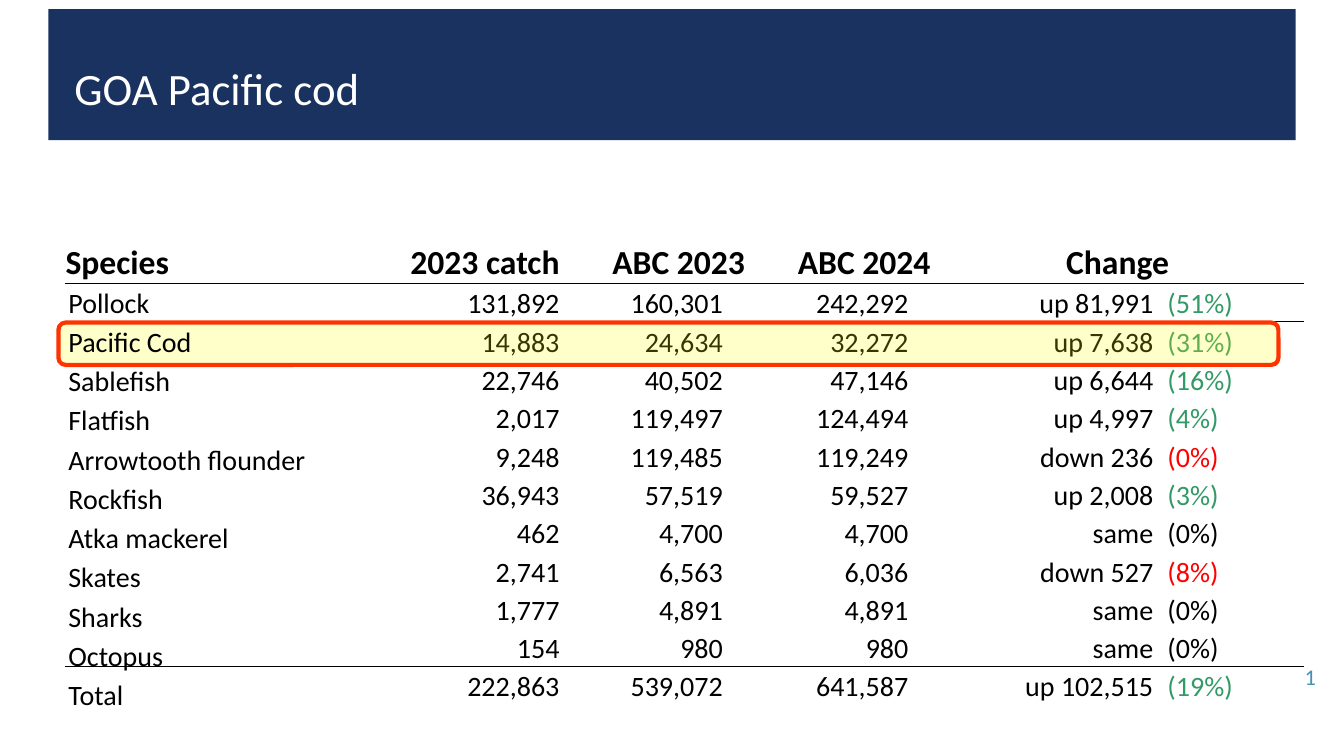
from lxml import etree
from pptx import Presentation
from pptx.dml.color import RGBColor
from pptx.enum.shapes import MSO_SHAPE
from pptx.enum.text import MSO_ANCHOR, PP_ALIGN
from pptx.oxml import parse_xml
from pptx.oxml.ns import nsdecls, qn
from pptx.util import Inches, Pt

COLORS = {
    "navy": "1A3260", "white": "FFFFFF", "black": "000000", "blue": "4590B8",
    "up": "339966", "down": "FF0000", "highlight": "FFFF00", "outline": "FF3300",
}
FONT = "Calibri"
NO_STYLE = "{2D5ABB26-0587-4C30-8999-92F81FD0307C}"

HEADERS = ["Species", "2023 catch", "ABC 2023", "ABC 2024", "Change", ""]
CATCHES = [
    ("Pollock", "131,892", "160,301", "242,292", "up 81,991", "(51%)"),
    ("Pacific Cod", "14,883", "24,634", "32,272", "up 7,638", "(31%)"),
    ("Sablefish", "22,746", "40,502", "47,146", "up 6,644", "(16%)"),
    ("Flatfish", "2,017", "119,497", "124,494", "up 4,997", "(4%)"),
    ("Arrowtooth flounder", "9,248", "119,485", "119,249", "down 236", "(0%)"),
    ("Rockfish", "36,943", "57,519", "59,527", "up 2,008", "(3%)"),
    ("Atka mackerel", "462", "4,700", "4,700", "same", "(0%)"),
    ("Skates", "2,741", "6,563", "6,036", "down 527", "(8%)"),
    ("Sharks", "1,777", "4,891", "4,891", "same", "(0%)"),
    ("Octopus", "154", "980", "980", "same", "(0%)"),
    ("Total", "222,863", "539,072", "641,587", "up 102,515", "(19%)"),
]
COLUMN_WIDTHS = [2.77, 2.15, 1.84, 1.84, 2.33, 1.36]
RIGHT_MARGINS = [0.01, 0.01, 0.23, 0.23, 0.13, 0.01]
HEADER_HEIGHT, ROW_HEIGHT = 0.52, 0.38
LEFT, RIGHT, CENTER = PP_ALIGN.LEFT, PP_ALIGN.RIGHT, PP_ALIGN.CENTER


def rgb(name):
    return RGBColor.from_string(COLORS[name])


def style(p, size, color="black", bold=False, align=LEFT):
    p.alignment = align
    p.font.name = FONT
    p.font.size = Pt(size)
    p.font.bold = bold
    p.font.color.rgb = rgb(color)


def add_text_frame(s, box, anchor=MSO_ANCHOR.TOP):
    tf = s.shapes.add_textbox(*map(Inches, box)).text_frame
    tf.word_wrap = True
    tf.vertical_anchor = anchor
    return tf


def add_title_band(s, box):
    left, top, width, height = box
    sp = s.shapes.add_shape(MSO_SHAPE.RECTANGLE, *map(Inches, box))
    sp.shadow.inherit = False
    sp.fill.solid()
    sp.fill.fore_color.rgb = rgb("navy")
    sp.line.fill.background()
    title_box = (left + 0.16, top - 0.02, width - 0.31, height - 0.19)
    p = add_text_frame(s, title_box, MSO_ANCHOR.BOTTOM).paragraphs[0]
    p.text = "GOA Pacific cod"
    style(p, 32, "white")


def add_slide_number(s, box):
    p = add_text_frame(s, box, MSO_ANCHOR.MIDDLE).paragraphs[0]
    r = p.add_run()
    r.text = "1"
    style(p, 16, "blue", align=RIGHT)
    r.font.name = FONT
    r.font.size = Pt(16)
    r.font.color.rgb = rgb("blue")
    field = r._r
    field.tag = qn("a:fld")
    field.set("id", "{B6F15528-21DE-4FAA-801E-634DDDAF4B2B}")
    field.set("type", "slidenum")


def set_border(cell, side, points):
    """Draw one edge of a cell; side is the XML tag, such as lnT or lnB."""
    line = parse_xml(
        f'<a:{side} {nsdecls("a")} w="{Pt(points)}"><a:solidFill>'
        f'<a:srgbClr val="{COLORS["black"]}"/></a:solidFill></a:{side}>')
    cell._tc.get_or_add_tcPr().insert(0, line)


def fill_cell(cell, text, size, color, bold, align, right_margin):
    cell.margin_left = cell.margin_top = Inches(0.01)
    cell.margin_right, cell.margin_bottom = Inches(right_margin), 0
    cell.vertical_anchor = MSO_ANCHOR.BOTTOM
    cell.fill.background()
    p = cell.text_frame.paragraphs[0]
    p.text = text
    style(p, size, color, bold, align)


def change_color(change):
    return {"up": "up", "down": "down"}.get(change.split()[0], "black")


def add_catch_table(s, box):
    rows = len(CATCHES) + 1
    frame = s.shapes.add_table(rows, len(HEADERS), *map(Inches, box))
    table = frame.table
    table.first_row = table.horz_banding = False
    table._tbl.tblPr.find(qn("a:tableStyleId")).text = NO_STYLE
    for column, width in zip(table.columns, COLUMN_WIDTHS):
        column.width = Inches(width)
    for i, row in enumerate(table.rows):
        row.height = Inches(ROW_HEIGHT if i else HEADER_HEIGHT)

    table.cell(0, 4).merge(table.cell(0, 5))
    header_aligns = [LEFT, RIGHT, RIGHT, RIGHT, CENTER, LEFT]
    for j, (text, align) in enumerate(zip(HEADERS, header_aligns)):
        fill_cell(table.cell(0, j), text, 24, "black", True, align, 0.01)

    for i, (_, *values, change, share) in enumerate(CATCHES, 1):
        for j, text in enumerate(["", *values, change, share]):
            color = change_color(change) if j == 5 else "black"
            align = RIGHT if 1 <= j <= 4 else LEFT
            fill_cell(table.cell(i, j), text, 20, color, False, align,
                      RIGHT_MARGINS[j])

    for upper, points in ((0, 0.5), (rows - 2, 1)):
        for j in range(len(HEADERS)):
            set_border(table.cell(upper, j), "lnB", points)
            set_border(table.cell(upper + 1, j), "lnT", points)


def add_highlight(s, box):
    sp = s.shapes.add_shape(MSO_SHAPE.ROUNDED_RECTANGLE, *map(Inches, box))
    sp.shadow.inherit = False
    sp.adjustments[0] = 0.167
    sp.fill.solid()
    sp.fill.fore_color.rgb = rgb("highlight")
    color = sp._element.spPr.find(qn("a:solidFill"))[0]
    etree.SubElement(color, qn("a:alpha")).set("val", "21000")
    sp.line.color.rgb = rgb("outline")
    sp.line.width = Pt(3)


def add_species_list(s, box):
    tf = add_text_frame(s, box)
    for i, (species, *_) in enumerate(CATCHES):
        p = tf.add_paragraph() if i else tf.paragraphs[0]
        p.text = species
        style(p, 20)
        p.space_before = Pt(2 if i else 0)
        p.space_after = Pt(2)


def main():
    prs = Presentation()
    prs.slide_width, prs.slide_height = Inches(13.33), Inches(7.5)
    s = prs.slides.add_slide(prs.slide_layouts[6])
    add_title_band(s, (0.48, 0.09, 12.37, 1.3))
    add_slide_number(s, (11.55, 6.51, 1.6, 0.4))
    add_catch_table(s, (0.64, 2.29, 12.29, 4.7))
    add_highlight(s, (0.58, 3.2, 12.1, 0.42))
    add_species_list(s, (0.58, 2.78, 6.67, 4.91))
    prs.save("out.pptx")


if __name__ == "__main__":
    main()
